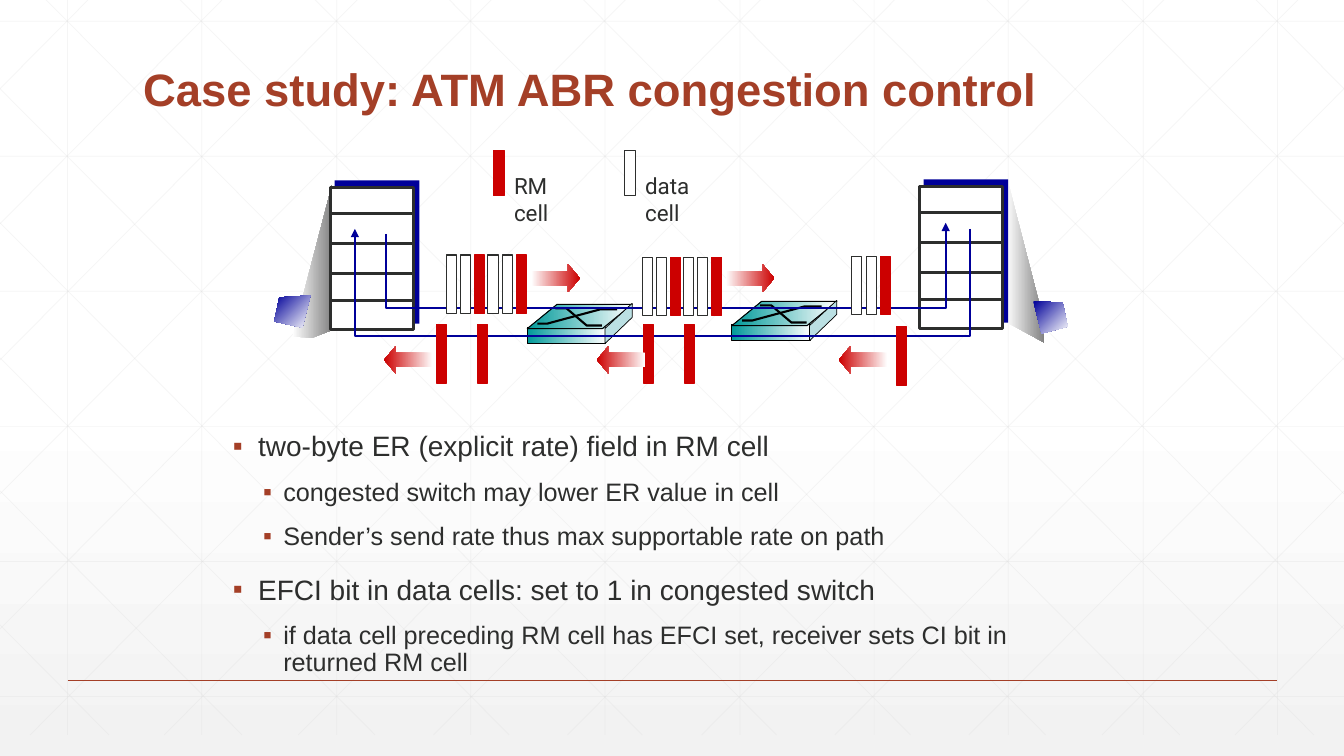
from lxml.etree import SubElement
from pptx import Presentation
from pptx.dml.color import RGBColor
from pptx.enum.shapes import MSO_CONNECTOR as Connector, MSO_SHAPE as Preset
from pptx.enum.text import MSO_ANCHOR as Anchor, MSO_AUTO_SIZE as AutoSize, PP_ALIGN as Align
from pptx.oxml.ns import qn
from pptx.util import Pt

SCALE = 9144  # EMU per px, 100 px to the inch
WIDTH, HEIGHT = 1333, 750
COLORS = {
    "white": "FFFFFF", "black": "000000", "ink": "2D2E2D", "rust": "A43F27",
    "grid": "D9D9D9", "mist": "F2F2F2", "red": "CC0000", "navy": "000099",
    "teal": "009999", "ice": "BBE0E3", "gray": "808080",
}
BULLETS = [
    (0, "two-byte ER (explicit rate) field in RM cell"),
    (1, "congested switch may lower ER value in cell"),
    (1, "Sender’s send rate thus max supportable rate on path"),
    (0, "EFCI bit in data cells: set to 1 in congested switch"),
    (1, "if data cell preceding RM cell has EFCI set, receiver sets CI bit in returned RM cell"),
]
# size, space before, left margin, hanging indent
LEVELS = [(20, 18, 25, 25), (18, 12, 50, 20)]


def px(length):
    return round(length * SCALE)


def color(name):
    return RGBColor.from_string(COLORS[name])


def set_gradient(fill, start, end, angle=0):
    """Two-stop gradient; the angle runs clockwise."""
    fill.gradient()
    fill.gradient_angle = -angle % 360
    for stop, name in zip(fill.gradient_stops, (start, end)):
        stop.color.rgb = color(name)


def paint(shape, fill=None, line=None, weight=0.75, angle=0):
    """Fill with a colour name, a (start, end) pair or nothing, and outline."""
    shape.shadow.inherit = False
    if fill is None:
        shape.fill.background()
    elif isinstance(fill, tuple):
        set_gradient(shape.fill, *fill, angle)
    else:
        shape.fill.solid()
        shape.fill.fore_color.rgb = color(fill)
    if line:
        shape.line.color.rgb = color(line)
        shape.line.width = Pt(weight)
    else:
        shape.line.fill.background()
    return shape


def add_preset(slide, preset, box, *style):
    return paint(slide.shapes.add_shape(preset, *map(px, box)), *style)


def add_path(slide, points, closed, *style):
    builder = slide.shapes.build_freeform(*points[0], scale=SCALE)
    builder.add_line_segments(points[1:], close=closed)
    return paint(builder.convert_to_shape(), *style)


def add_line(slide, start, end, name, weight, opacity=100):
    connector = slide.shapes.add_connector(Connector.STRAIGHT, *map(px, start + end))
    connector.line.color.rgb = color(name)
    connector.line.width = Pt(weight)
    properties = connector.element.spPr
    if opacity < 100:
        tint = properties.find(".//" + qn("a:srgbClr"))
        SubElement(tint, qn("a:alpha"), val=str(opacity * 1000))
    SubElement(properties, qn("a:effectLst"))


def add_grid(slide):
    top, bottom = -21, 729
    slope = 750 / 745
    lines = [((67 + round(i * 400 / 3), top), (67 + round(i * 400 / 3), bottom)) for i in range(10)]
    lines += [((0, 21 + 134 * i), (WIDTH, 21 + 134 * i)) for i in range(6)]
    diagonals = []
    for i in range(10):
        x = 25 + round(i * 400 / 3)
        run = min(745, WIDTH - x)
        diagonals.append(((x, top), (x + run, top + round(run * slope))))
    for i in range(5):
        x = 637 - round(i * 132.3)
        diagonals.append(((x, bottom), (0, bottom - round(x * slope))))
    mirrored = [tuple((WIDTH - x, y) for x, y in ends) for ends in diagonals]
    for start, end in lines + diagonals + mirrored:
        add_line(slide, start, end, "grid", 0.5, 25)


def place(slide, placeholder, box):
    """Bring a placeholder in front of the grid and move it."""
    slide.shapes.element.append(placeholder.element)
    placeholder.left, placeholder.top, placeholder.width, placeholder.height = map(px, box)
    placeholder.text_frame.auto_size = AutoSize.NONE
    return placeholder.text_frame


def set_font(paragraph, size, name, font="Arial", bold=False):
    paragraph.font.size = Pt(size)
    paragraph.font.name = font
    paragraph.font.bold = bold
    paragraph.font.color.rgb = color(name)


def add_title(slide, text):
    frame = place(slide, slide.shapes.title, (132, 16, 954, 104))
    frame.text = text
    frame.vertical_anchor = Anchor.BOTTOM
    paragraph = frame.paragraphs[0]
    paragraph.alignment = Align.LEFT
    paragraph.line_spacing = 0.9
    set_font(paragraph, 32.4, "rust", bold=True)


def add_bullets(slide, items):
    frame = place(slide, slide.placeholders[1], (221, 424, 880, 273))
    frame.text = "\n".join(text for _, text in items)
    for index, (paragraph, (level, _)) in enumerate(zip(frame.paragraphs, items)):
        size, before, margin, hanging = LEVELS[level]
        paragraph.level = level
        paragraph.line_spacing = 0.9
        paragraph.space_before = Pt(before if index else 0)
        properties = paragraph._p.get_or_add_pPr()
        properties.set("marL", str(px(margin)))
        properties.set("indent", str(-px(hanging)))
        tint = SubElement(properties, qn("a:buClr"))
        SubElement(tint, qn("a:srgbClr"), val=COLORS["rust"])
        SubElement(properties, qn("a:buFont"), typeface="Arial")
        SubElement(properties, qn("a:buChar"), char="▪")
        set_font(paragraph, size, "ink")


def add_switch(slide, x, y):
    def shifted(*points):
        return [(x + dx, y + dy) for dx, dy in points]

    face = ("teal", "white")
    add_preset(slide, Preset.RECTANGLE, (x, y + 24, 78, 16), face, "black")
    lid = add_preset(slide, Preset.PARALLELOGRAM, (x, y + 1, 104, 24), face, "black")
    lid.adjustments[0] = 1.228
    add_path(slide, shifted((77, 25), (77, 40), (104, 14), (104, 0)), True, "ice", "black", 0.5)
    for points in (shifted((10, 20), (20, 20), (72, 6), (89, 6)),
                   shifted((28, 5), (39, 5), (59, 22), (74, 22))):
        add_path(slide, points, False, None, "black", 1.5)


def add_host(slide, x, y, side):
    add_path(slide, side, True, ("white", "gray"))
    add_preset(slide, Preset.RECTANGLE, (x + 4, y - 7, 84, 142), "navy")
    add_preset(slide, Preset.RECTANGLE, (x, y, 82, 141), "white", "ink", 2.25)
    for offset in (26, 56, 85, 112):
        add_line(slide, (x, y + offset), (x + 82, y + offset), "ink", 2.25)


def add_circuit(slide, points):
    circuit = add_path(slide, points, False, None, "navy", 1.5)
    SubElement(circuit.line._get_or_add_ln(), qn("a:tailEnd"), type="triangle")


def add_cell(slide, x, y, kind, width=10, height=58):
    """Kind R is an RM cell, D a data cell."""
    fill, line = ("red", "red") if kind == "R" else ("white", "ink")
    add_preset(slide, Preset.RECTANGLE, (x, y, width, height), fill, line)


def add_flow_arrow(slide, x, y, rotation):
    arrow = add_preset(slide, Preset.RIGHT_ARROW, (x, y, 48, 28), ("white", "red"))
    arrow.adjustments[0], arrow.adjustments[1] = 0.5, 0.418
    arrow.rotation = rotation


def add_legend(slide, x, kind, text, width):
    add_cell(slide, x, 149, kind, 11, 45)
    frame = slide.shapes.add_textbox(px(x + 11), px(166), px(width), px(62)).text_frame
    frame.word_wrap = True
    frame.text = text
    set_font(frame.paragraphs[0], 16, "ink", "Roboto")


def main():
    presentation = Presentation()
    presentation.slide_width, presentation.slide_height = px(WIDTH), px(HEIGHT)
    slide = presentation.slides.add_slide(presentation.slide_layouts[1])
    background = slide.background.fill
    set_gradient(background, "white", "mist", 90)
    background.gradient_stops[0].position = 0.53

    add_grid(slide)
    add_line(slide, (67, 675), (1267, 675), "rust", 1)
    add_title(slide, "Case study: ATM ABR congestion control")
    add_bullets(slide, BULLETS)

    add_switch(slide, 726, 298)
    add_switch(slide, 523, 301)
    add_host(slide, 328, 186, [(290, 334), (330, 181), (328, 328), (310, 335)])
    add_host(slide, 912, 185, [(1032, 306), (998, 174), (999, 320), (1036, 340)])
    add_circuit(slide, [(383, 232), (383, 306), (938, 306), (938, 221)])
    add_circuit(slide, [(962, 227), (962, 333), (352, 333), (352, 227)])

    for x, y, kinds in ((443, 253, "DDRDDR"), (637, 255, "DDRDDR"), (845, 254, "DDR")):
        for index, kind in enumerate(kinds):
            add_cell(slide, x + round(13.8 * index), y, kind)
    for x in (527, 720):
        add_flow_arrow(slide, x, 262, 0)
    for x, y in ((889, 324), (638, 322), (679, 322), (433, 322), (474, 322)):
        add_cell(slide, x, y, "R")
    for x in (381, 592, 832):
        add_flow_arrow(slide, x, 343, 180)
    add_legend(slide, 489, "R", "RM cell", 70)
    add_legend(slide, 619, "D", "data cell", 75)

    for points in ([(308, 293), (277, 295), (272, 319), (300, 325)],
                   [(1025, 299), (1054, 300), (1059, 324), (1033, 331)]):
        add_path(slide, points, True, ("navy", "white"), None, 0, 45)
    presentation.save("out.pptx")


if __name__ == "__main__":
    main()
